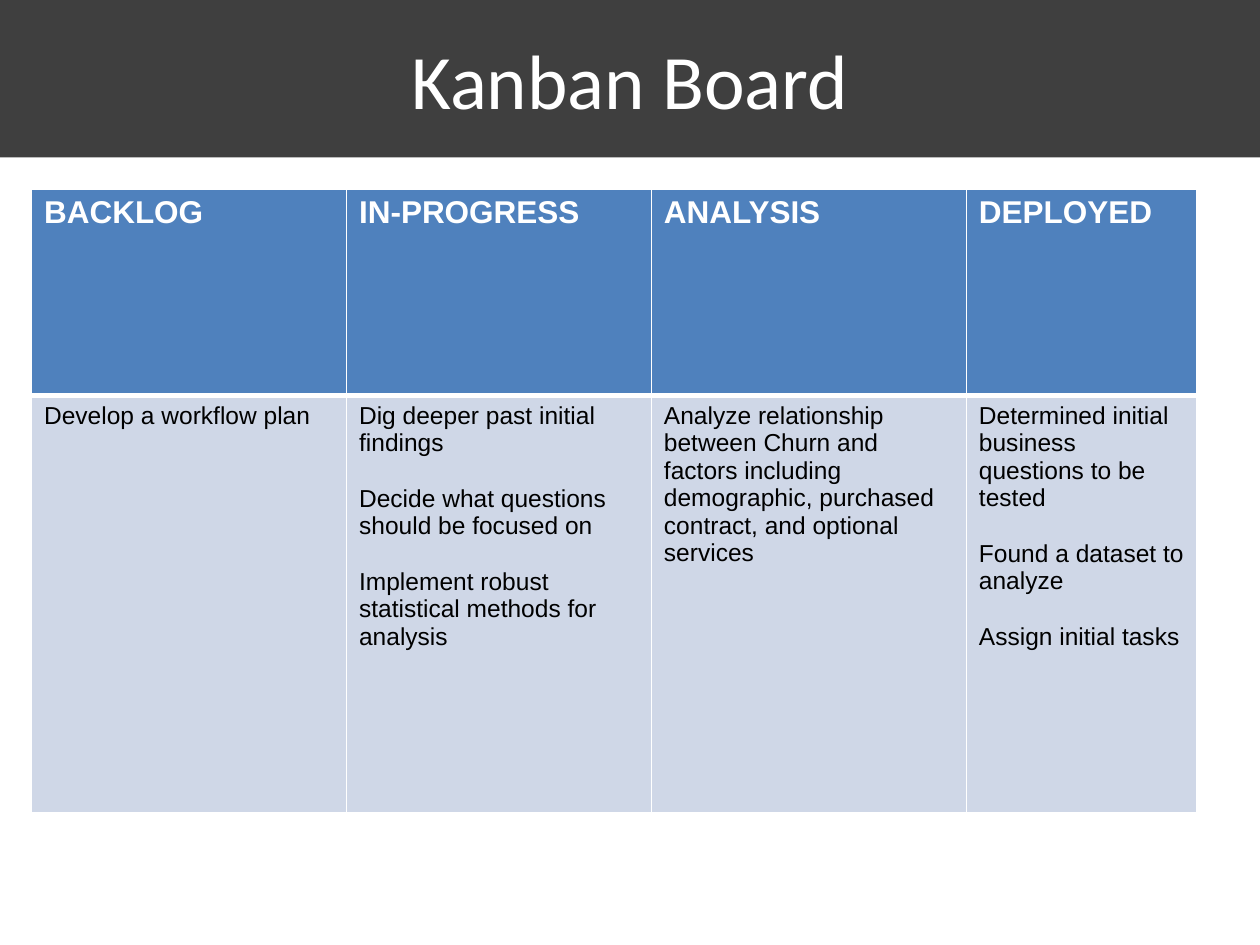
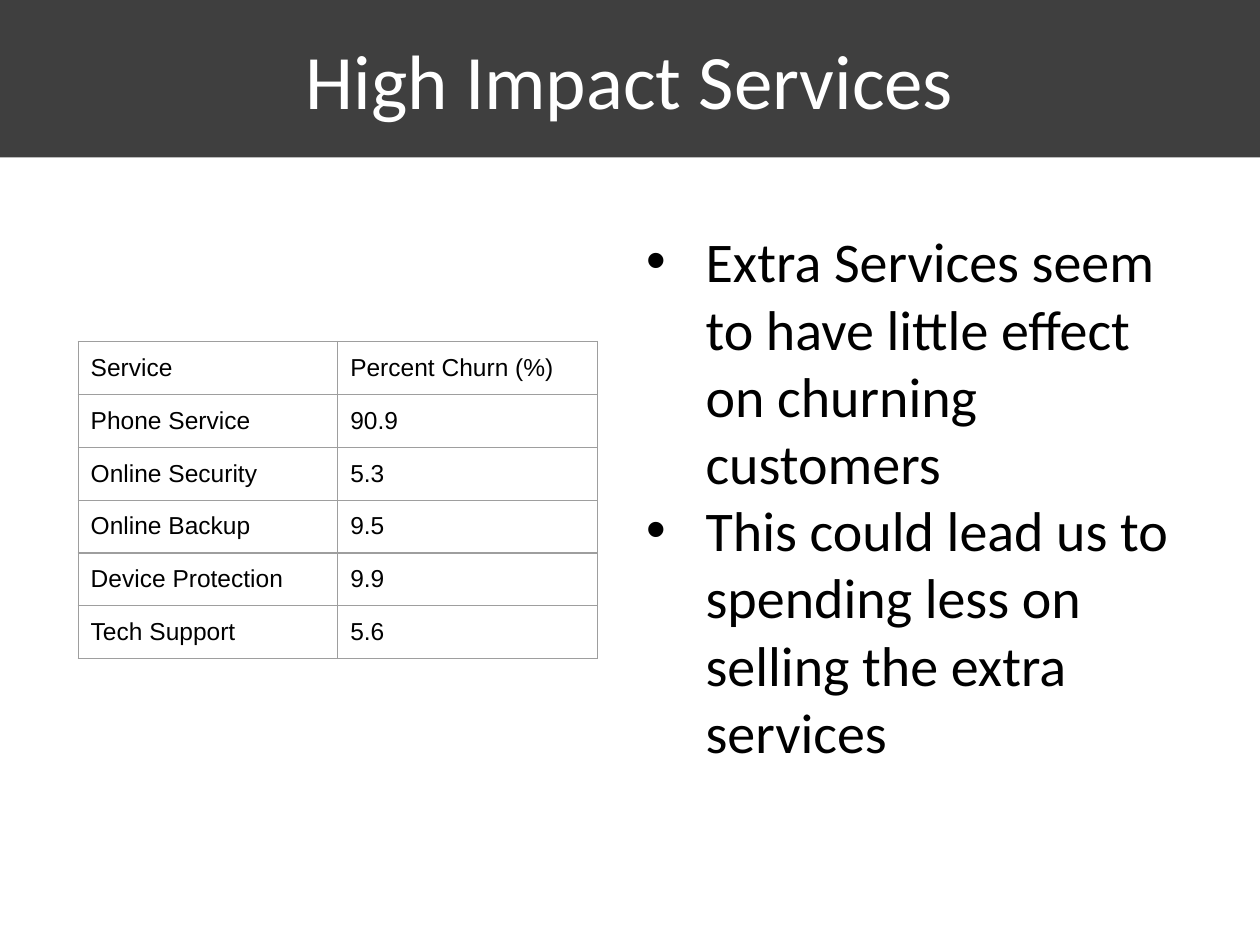
from lxml import etree
from pptx import Presentation
from pptx.dml.color import RGBColor
from pptx.enum.text import MSO_ANCHOR, MSO_AUTO_SIZE, PP_ALIGN
from pptx.oxml.ns import qn
from pptx.util import Inches, Pt

# Content
KANBAN_TITLE = "Kanban Board"
KANBAN = {
    "BACKLOG": ["Develop a workflow plan"],
    "IN-PROGRESS": [
        "Dig deeper past initial findings",
        "Decide what questions should be focused on",
        "Implement robust statistical methods for analysis",
    ],
    "ANALYSIS": [
        "Analyze relationship between Churn and factors including "
        "demographic, purchased contract, and optional services",
    ],
    "DEPLOYED": [
        "Determined initial business questions to be tested",
        "Found a dataset to analyze",
        "Assign initial tasks",
    ],
}
KANBAN_WIDTHS = [2.5, 2.42, 2.5, 1.83]
KANBAN_HEIGHTS = [1.64, 3.31]

SERVICES_TITLE = "High Impact Services"
CHURN = [
    ("Service", "Percent Churn (%)"),
    ("Phone Service", "90.9"),
    ("Online Security", "5.3"),
    ("Online Backup", "9.5"),
    ("Device Protection", "9.9"),
    ("Tech Support", "5.6"),
]
FINDINGS = [
    "Extra Services seem to have little effect on churning customers",
    "This could lead us to spending less on selling the extra services",
]

# Shared style
WHITE = RGBColor(0xFF, 0xFF, 0xFF)
BLACK = RGBColor(0x00, 0x00, 0x00)
BAND = RGBColor(0x3F, 0x3F, 0x3F)
HEADER = RGBColor(0x4F, 0x81, 0xBD)
BODY = RGBColor(0xCF, 0xD7, 0xE7)
GRID = RGBColor(0x9E, 0x9E, 0x9E)
TITLE_ONLY, TITLE_AND_CONTENT = 5, 1


def set_font(paragraph, name, size, color, bold=False):
    font = paragraph.font
    font.name, font.size, font.bold = name, Pt(size), bold
    font.color.rgb = color


def place(shape, left, top, width, height):
    shape.left, shape.top = Inches(left), Inches(top)
    shape.width, shape.height = Inches(width), Inches(height)


def add_titled_slide(prs, layout, text):
    slide = prs.slides.add_slide(prs.slide_layouts[layout])
    title = slide.shapes.title
    place(title, 0, 0, 10, 1.25)
    title.fill.solid()
    title.fill.fore_color.rgb = BAND
    frame = title.text_frame
    frame.text = text
    frame.auto_size = MSO_AUTO_SIZE.NONE
    frame.vertical_anchor = MSO_ANCHOR.MIDDLE
    frame.paragraphs[0].alignment = PP_ALIGN.CENTER
    set_font(frame.paragraphs[0], "Calibri", 44, WHITE)
    return slide


def add_grid(slide, left, top, widths, heights):
    grid = slide.shapes.add_table(
        len(heights), len(widths), Inches(left), Inches(top),
        Inches(sum(widths)), Inches(sum(heights))).table
    for column, width in zip(grid.columns, widths):
        column.width = Inches(width)
    for row, height in zip(grid.rows, heights):
        row.height = Inches(height)
    return grid


def fill_cell(cell, lines, margins, color, size=14, bold=False, fill=None,
              border=GRID, weights=(0.75,) * 4):
    """Weights are the left, right, top and bottom border widths."""
    tc_pr = cell._tc.get_or_add_tcPr()
    for side, weight in zip("LRTB", weights):
        line = etree.SubElement(tc_pr, qn(f"a:ln{side}"), w=str(Pt(weight)))
        solid = etree.SubElement(line, qn("a:solidFill"))
        etree.SubElement(solid, qn("a:srgbClr"), val=str(border))
    if fill is None:
        cell.fill.background()
    else:
        cell.fill.solid()
        cell.fill.fore_color.rgb = fill
    cell.margin_left = cell.margin_right = Inches(0.1)
    cell.margin_top, cell.margin_bottom = map(Inches, margins)
    cell.text = "\n".join(lines)
    for index, paragraph in enumerate(cell.text_frame.paragraphs):
        set_font(paragraph, "Arial", size, color, bold)
        if index:
            paragraph.space_before = Pt(16)


def build_kanban(prs):
    slide = add_titled_slide(prs, TITLE_ONLY, KANBAN_TITLE)
    board = add_grid(slide, 0.25, 1.5, KANBAN_WIDTHS, KANBAN_HEIGHTS)
    for col, (stage, tasks) in enumerate(KANBAN.items()):
        fill_cell(board.cell(0, col), [stage], (0.05, 0), WHITE, 18, True,
                  HEADER, WHITE, (1, 1, 1, 3))
        fill_cell(board.cell(1, col), tasks, (0.05, 0), BLACK, fill=BODY,
                  border=WHITE, weights=(1, 1, 3, 1))


def build_services(prs):
    slide = add_titled_slide(prs, TITLE_AND_CONTENT, SERVICES_TITLE)

    # Findings list
    findings = slide.placeholders[1]
    place(findings, 5, 1.75, 4.5, 4.95)
    frame = findings.text_frame
    frame.text = "\n".join(FINDINGS)
    frame.auto_size = MSO_AUTO_SIZE.NONE
    for index, paragraph in enumerate(frame.paragraphs):
        set_font(paragraph, "Calibri", 32, BLACK)
        paragraph.space_before = Pt(0 if index else 6.4)
        p_pr = paragraph._p.get_or_add_pPr()
        p_pr.set("marL", str(Inches(0.5)))
        p_pr.set("indent", str(Inches(-0.47)))

    # Churn table
    churn = add_grid(slide, 0.62, 2.71, [2.06] * 2, [0.42] * len(CHURN))
    for row, values in enumerate(CHURN):
        for col, value in enumerate(values):
            fill_cell(churn.cell(row, col), [value], (0.1, 0.1), BLACK)


def main():
    prs = Presentation()
    prs.slide_width, prs.slide_height = Inches(10), Inches(7.5)
    build_kanban(prs)
    build_services(prs)
    prs.save("out.pptx")


if __name__ == "__main__":
    main()
